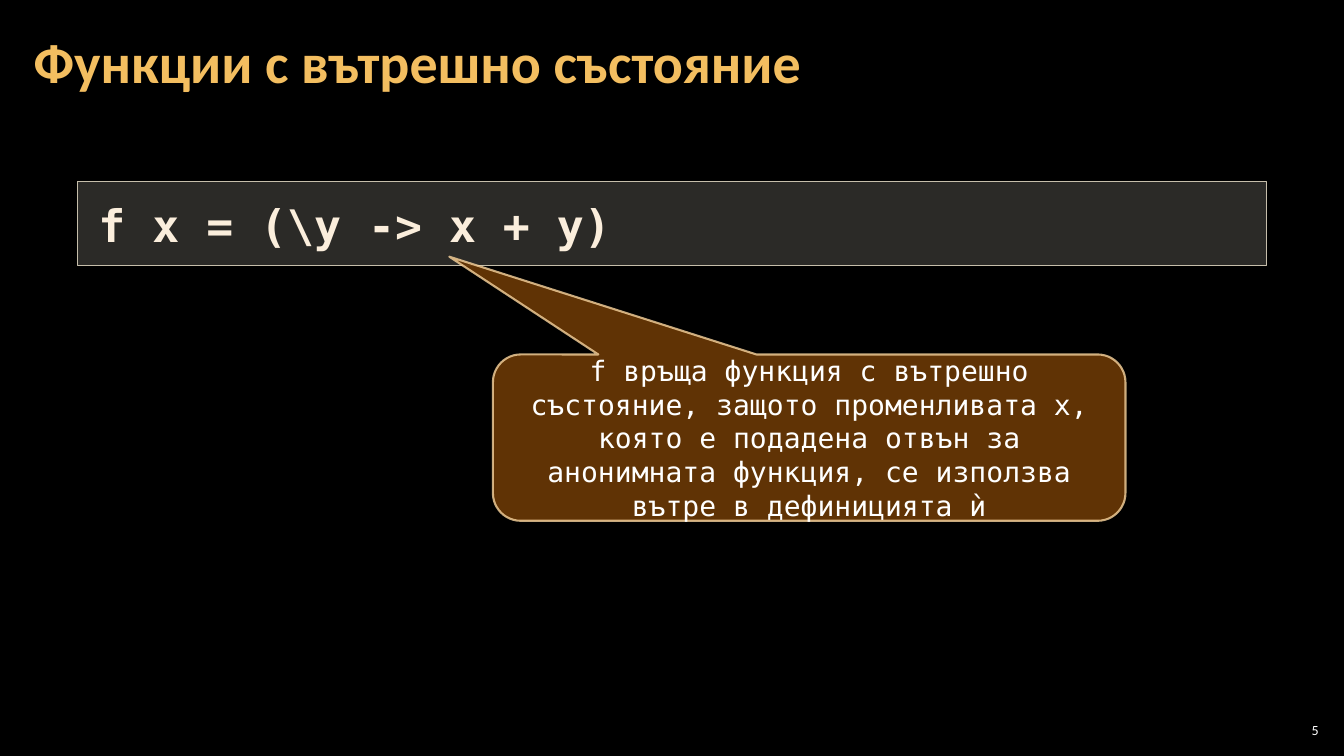
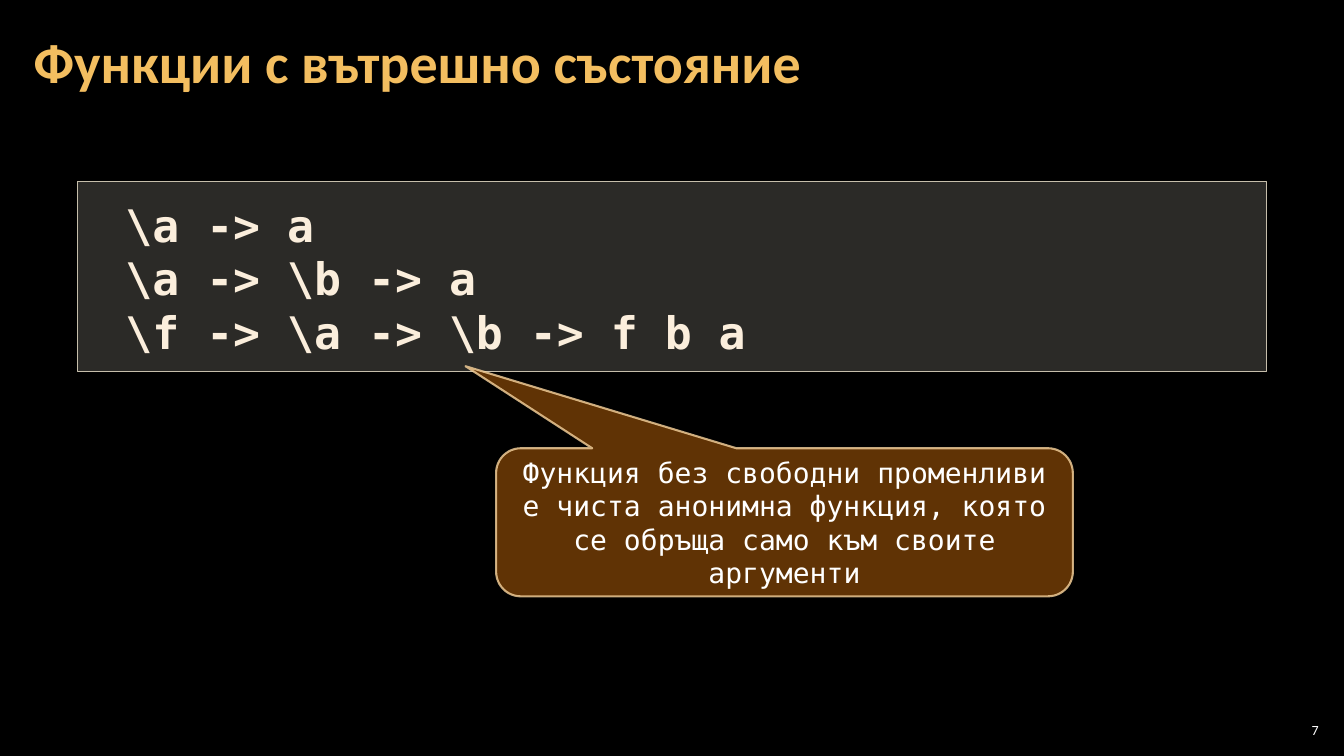
from dataclasses import dataclass

from pptx import Presentation
from pptx.dml.color import RGBColor
from pptx.enum import shapes, text
from pptx.oxml import xmlchemy
from pptx.oxml.ns import qn
from pptx.shapes.autoshape import Shape
from pptx.slide import Slide
from pptx.util import Pt


@dataclass(frozen=True)
class TextStyle:
    font: str
    size: float
    color: str
    bold: bool = False
    align: text.PP_ALIGN = text.PP_ALIGN.LEFT
    anchor: text.MSO_ANCHOR = text.MSO_ANCHOR.MIDDLE
    inset_x: float = 3
    inset_y: float = 3
    line_spacing: float = 1.0


@dataclass(frozen=True)
class Paint:
    color: str
    opacity: int = 100


@dataclass(frozen=True)
class Theme:
    background: str = "000000"
    code_fill: Paint = Paint("D9D4C6", 20)
    code_line: Paint = Paint("C6BEAB")
    note_fill: Paint = Paint("663606", 95)
    note_line: Paint = Paint("F8D49E", 80)
    title: TextStyle = TextStyle("Calibri", 40, "F3BE60", bold=True,
                                 inset_x=9, line_spacing=0.9)
    code: TextStyle = TextStyle("DejaVu Sans Mono", 32, "FBEEDC", bold=True,
                                anchor=text.MSO_ANCHOR.TOP, inset_x=15, inset_y=11.5)
    note: TextStyle = TextStyle("DejaVu Sans Mono", 20, "FFFFFF",
                                align=text.PP_ALIGN.CENTER, inset_x=9.4, inset_y=5)
    page: TextStyle = TextStyle("Calibri", 10, "FFFFFF", align=text.PP_ALIGN.RIGHT)


@dataclass(frozen=True)
class Box:
    left: float
    top: float
    width: float
    height: float

    def lengths(self) -> tuple[Pt, Pt, Pt, Pt]:
        return Pt(self.left), Pt(self.top), Pt(self.width), Pt(self.height)


@dataclass(frozen=True)
class Callout:
    words: str
    box: Box
    tip: tuple[float, float]  # offset from the centre, as shares of width and height


@dataclass(frozen=True)
class CodeSlide:
    page: int
    code: list[str]
    callout: Callout


THEME = Theme()
TITLE = "Функции с вътрешно състояние"
TITLE_BOX = Box(15, 3, 929.5, 87)
PAGE_BOX = Box(911, 514, 34, 15)
CODE_LEFT, CODE_TOP, CODE_WIDTH = 55.3, 129.5, 849.6
FIRST_LINE_HEIGHT, NEXT_LINE_HEIGHT = 60, 38
CORNER = 0.167

SLIDES = [
    CodeSlide(5, ["f x = (\\y -> x + y)"], Callout(
        "f връща функция с вътрешно състояние, защото променливата x, която е подадена "
        "отвън за анонимната функция, се използва вътре в дефиницията ѝ",
        Box(352.1, 253.2, 451.8, 118.8), (-0.569, -1.088))),
    CodeSlide(7, [" \\a -> a", " \\a -> \\b -> a", " \\f -> \\a -> \\b -> f b a"], Callout(
        "Функция без свободни променливи е чиста анонимна функция, която се обръща "
        "само към своите аргументи",
        Box(354.4, 320.2, 412, 105.8), (-0.553, -1.054))),
]


def write(shape: Shape, lines: list[str], style: TextStyle) -> None:
    frame = shape.text_frame
    frame.text = "\n".join(lines)
    frame.word_wrap = True
    frame.auto_size = text.MSO_AUTO_SIZE.NONE
    frame.vertical_anchor = style.anchor
    frame.margin_left = frame.margin_right = Pt(style.inset_x)
    frame.margin_top = frame.margin_bottom = Pt(style.inset_y)
    for paragraph in frame.paragraphs:
        paragraph.alignment = style.align
        paragraph.line_spacing = style.line_spacing
        font = paragraph.font
        font.name, font.size, font.bold = style.font, Pt(style.size), style.bold
        font.color.rgb = RGBColor.from_string(style.color)


def set_opacity(color: xmlchemy.BaseOxmlElement, percent: int) -> None:
    if percent < 100:
        color.makeelement(qn("a:alpha"))
        alpha = xmlchemy.OxmlElement("a:alpha")
        alpha.set("val", str(percent * 1000))
        color.append(alpha)


def add_panel(slide: Slide, kind: shapes.MSO_SHAPE, box: Box,
              fill: Paint, line: Paint, line_width: float) -> Shape:
    panel = slide.shapes.add_shape(kind, *box.lengths())
    panel.shadow.inherit = False
    panel.fill.solid()
    panel.fill.fore_color.rgb = RGBColor.from_string(fill.color)
    panel.line.color.rgb = RGBColor.from_string(line.color)
    panel.line.width = Pt(line_width)
    properties = panel.element.spPr
    set_opacity(properties.find(f"{qn('a:solidFill')}/{qn('a:srgbClr')}"), fill.opacity)
    set_opacity(properties.find(f"{qn('a:ln')}/{qn('a:solidFill')}/{qn('a:srgbClr')}"),
                line.opacity)
    return panel


def add_code(slide: Slide, lines: list[str]) -> None:
    height = FIRST_LINE_HEIGHT + NEXT_LINE_HEIGHT * (len(lines) - 1)
    panel = add_panel(slide, shapes.MSO_SHAPE.RECTANGLE,
                      Box(CODE_LEFT, CODE_TOP, CODE_WIDTH, height),
                      THEME.code_fill, THEME.code_line, 1)
    write(panel, lines, THEME.code)


def add_callout(slide: Slide, callout: Callout) -> None:
    bubble = add_panel(slide, shapes.MSO_SHAPE.ROUNDED_RECTANGULAR_CALLOUT, callout.box,
                       THEME.note_fill, THEME.note_line, 1.5)
    for index, value in enumerate((*callout.tip, CORNER)):
        bubble.adjustments[index] = value
    write(bubble, [callout.words], THEME.note)


def add_code_slide(prs: Presentation, content: CodeSlide) -> None:
    slide = prs.slides.add_slide(prs.slide_layouts.get_by_name("Title Only"))
    title = slide.shapes.title
    title.left, title.top, title.width, title.height = TITLE_BOX.lengths()
    write(title, [TITLE], THEME.title)
    add_code(slide, content.code)
    add_callout(slide, content.callout)
    write(slide.shapes.add_textbox(*PAGE_BOX.lengths()), [str(content.page)], THEME.page)


def main() -> None:
    prs = Presentation()
    prs.slide_width, prs.slide_height = Pt(960), Pt(540)
    background = prs.slide_master.background.fill
    background.solid()
    background.fore_color.rgb = RGBColor.from_string(THEME.background)
    for content in SLIDES:
        add_code_slide(prs, content)
    prs.save("out.pptx")


if __name__ == "__main__":
    main()
